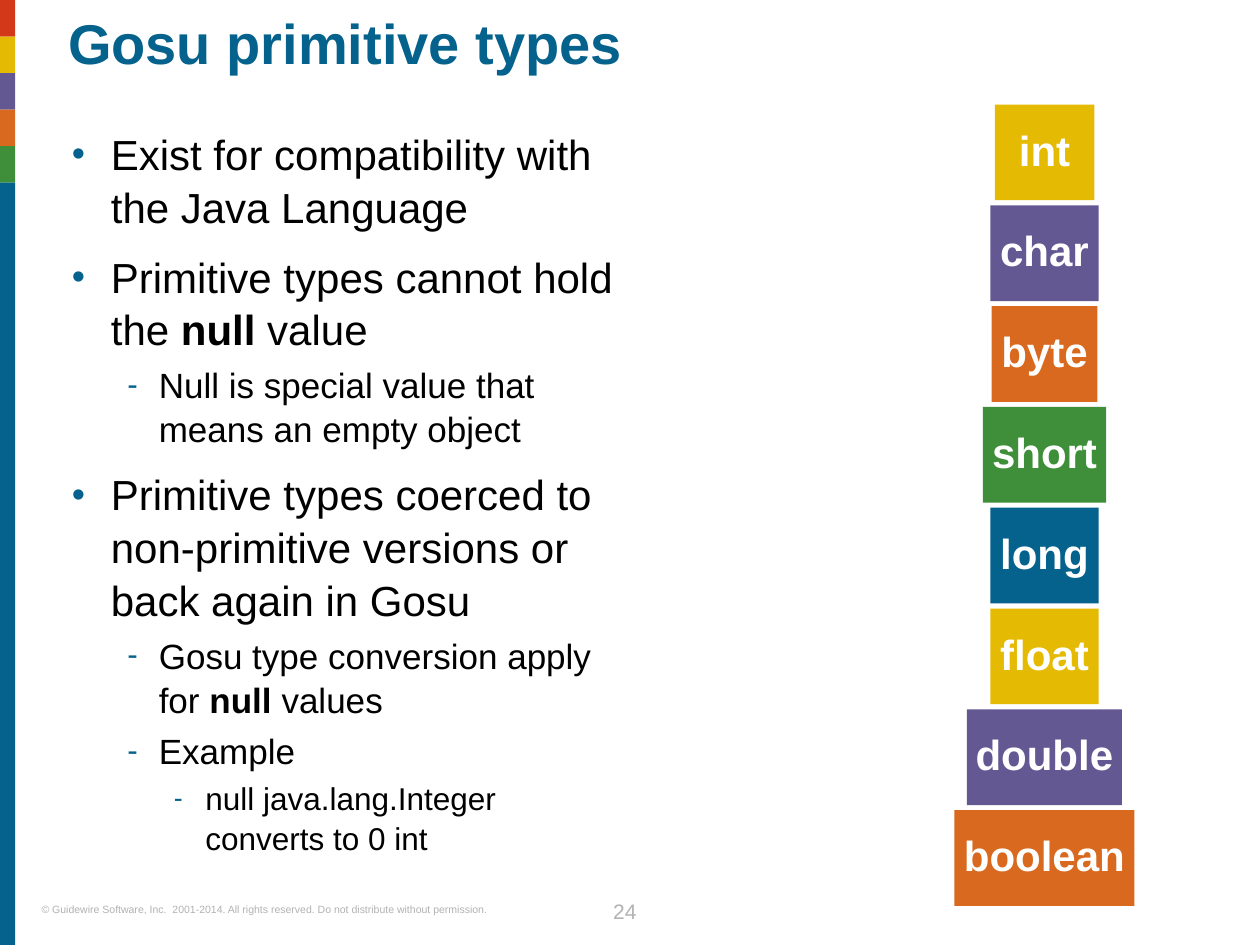
from itertools import cycle

from lxml import etree
from pptx import Presentation
from pptx.dml.color import RGBColor
from pptx.enum import shapes, text
from pptx.oxml import ns
from pptx.util import Inches, Pt

BLUE = RGBColor(0x04, 0x62, 0x8C)
GREEN = RGBColor(0x3F, 0x8E, 0x39)
ORANGE = RGBColor(0xD8, 0x69, 0x1E)
PURPLE = RGBColor(0x64, 0x58, 0x93)
YELLOW = RGBColor(0xE5, 0xBA, 0x03)
RED = RGBColor(0xD3, 0x38, 0x19)
GREY = RGBColor(0xB2, 0xB2, 0xB2)
BLACK = RGBColor(0, 0, 0)
WHITE = RGBColor(255, 255, 255)

LEVELS = [
    {"left": 0.31, "hang": 0.31, "char": "•", "pct": 90, "size": 24, "before": 0.4},
    {"left": 0.69, "hang": 0.25, "char": "-", "pct": 90, "size": 20, "before": 0.2},
    {"left": 1.06, "hang": 0.25, "char": "-", "pct": 85, "size": 18, "before": 0.2},
]
BODY = [
    (0, ["Exist for compatibility with the Java Language"]),
    (0, ["Primitive types cannot hold the\u00a0", "null", " value"]),
    (1, ["Null is special value that means an empty object"]),
    (0, ["Primitive types coerced to non-primitive versions or back again in Gosu"]),
    (1, ["Gosu type conversion apply for ", "null ", "values"]),
    (1, ["Example"]),
    (2, ["null java.lang.Integer \vconverts to 0 int"]),
]
TYPES = [("int", 0.79), ("char", 0.86), ("byte", 0.84), ("short", 0.98),
         ("long", 0.86), ("float", 0.86), ("double", 1.23), ("boolean", 1.43)]


def set_attrs(obj, **values):
    """Set several attributes of one object."""
    for name, value in values.items():
        setattr(obj, name, value)


def set_font(font, size, color, bold=False):
    """Format a font in the slide's typeface."""
    set_attrs(font, name="Arial", size=Pt(size), bold=bold)
    font.color.rgb = color


def set_frame(tf, margin=0, wrap=True, anchor=text.MSO_ANCHOR.TOP):
    """Give a text frame equal margins and a fixed size."""
    sides = dict.fromkeys(("margin_left", "margin_top", "margin_right", "margin_bottom"), Inches(margin))
    set_attrs(tf, word_wrap=wrap, vertical_anchor=anchor, auto_size=text.MSO_AUTO_SIZE.NONE, **sides)


def place(sp, left, top, width, height):
    """Move a shape to a box given in inches."""
    set_attrs(sp, left=Inches(left), top=Inches(top), width=Inches(width), height=Inches(height))


def add_block(s, left, top, width, height, color):
    """Add a plain filled rectangle."""
    sp = s.shapes.add_shape(shapes.MSO_SHAPE.RECTANGLE, *map(Inches, (left, top, width, height)))
    sp.shadow.inherit = False
    sp.fill.solid()
    sp.fill.fore_color.rgb = color
    sp.line.fill.background()
    return sp


def add_side_bar(s, left, top, width, height):
    """Stack small colour blocks above a long blue bar."""
    step = 0.29
    colors = [RED, YELLOW, PURPLE, ORANGE, GREEN]
    for i, color in enumerate(colors):
        add_block(s, left, top + i * step, width, step, color)
    used = len(colors) * step
    add_block(s, left, top + used, width, height - used, BLUE)


def add_small_text(s, box, words, size, **layout):
    """Add a grey footer text."""
    tf = s.shapes.add_textbox(*map(Inches, box)).text_frame
    set_frame(tf)
    p = tf.paragraphs[0]
    p.text = words
    set_attrs(p, **layout)
    set_font(p.runs[0].font, size, GREY)


def add_title(s, *box):
    """Fill the title placeholder."""
    sp = s.shapes.title
    place(sp, *box)
    set_frame(sp.text_frame)
    p = sp.text_frame.paragraphs[0]
    p.text = "Gosu primitive types"
    set_attrs(p, alignment=text.PP_ALIGN.LEFT, line_spacing=0.9)
    set_font(p.runs[0].font, 32, BLUE, True)


def add_bullet(p, style):
    """Give a paragraph its hanging indent and coloured bullet."""
    pPr = p._p.get_or_add_pPr()
    pPr.set("marL", str(Inches(style["left"])))
    pPr.set("indent", str(-Inches(style["hang"])))
    clr = etree.SubElement(pPr, ns.qn("a:buClr"))
    etree.SubElement(clr, ns.qn("a:srgbClr"), val=str(BLUE))
    etree.SubElement(pPr, ns.qn("a:buSzPct"), val=str(style["pct"] * 1000))
    etree.SubElement(pPr, ns.qn("a:buFont"), typeface="Arial")
    etree.SubElement(pPr, ns.qn("a:buChar"), char=style["char"])


def add_body(s, *box):
    """Fill the body placeholder, with every second run of a paragraph bold."""
    sp = s.placeholders[1]
    place(sp, *box)
    tf = sp.text_frame
    set_frame(tf)
    for i, (level, parts) in enumerate(BODY):
        p = tf.add_paragraph() if i else tf.paragraphs[0]
        style = LEVELS[level]
        add_bullet(p, style)
        before = Pt(style["size"] * style["before"]) if i else Pt(0)
        set_attrs(p, level=level, alignment=text.PP_ALIGN.LEFT, line_spacing=1.05, space_before=before)
        for j, part in enumerate(parts):
            for k, line in enumerate(part.split("\v")):
                if k:
                    p.add_line_break()
                r = p.add_run()
                r.text = line
                set_font(r.font, style["size"], BLACK, j % 2 == 1)


def add_type_stack(s, center, top, height, pitch):
    """Stack one centred, coloured label for each primitive type."""
    colors = cycle([YELLOW, PURPLE, ORANGE, GREEN, BLUE])
    for i, ((name, width), color) in enumerate(zip(TYPES, colors)):
        sp = add_block(s, center - width / 2, top + i * pitch, width, height, color)
        set_frame(sp.text_frame, 0.07, False, text.MSO_ANCHOR.MIDDLE)
        p = sp.text_frame.paragraphs[0]
        p.text = name
        set_attrs(p, alignment=text.PP_ALIGN.CENTER, line_spacing=0.9)
        set_font(p.runs[0].font, 24, WHITE, True)


def main():
    """Build and save the slide."""
    prs = Presentation()
    set_attrs(prs, slide_width=Inches(10), slide_height=Inches(7.5))
    s = prs.slides.add_slide(prs.slide_layouts[1])
    add_small_text(s, (0.33, 7.17, 4.02, 0.1), "© Guidewire Software, Inc.  2001-2014. All rights "
                   "reserved. Do not distribute without permission.", 6)
    add_side_bar(s, 0, 0, 0.12, 7.5)
    add_small_text(s, (4.71, 7.08, 0.5, 0.25), "24", 12,
                   alignment=text.PP_ALIGN.CENTER, line_spacing=Pt(18))
    add_title(s, 0.54, 0.13, 9.1, 0.81)
    add_body(s, 0.57, 1, 4.47, 5.99)
    add_type_stack(s, 8.29, 0.83, 0.76, 0.8)
    prs.save("out.pptx")


if __name__ == "__main__":
    main()
